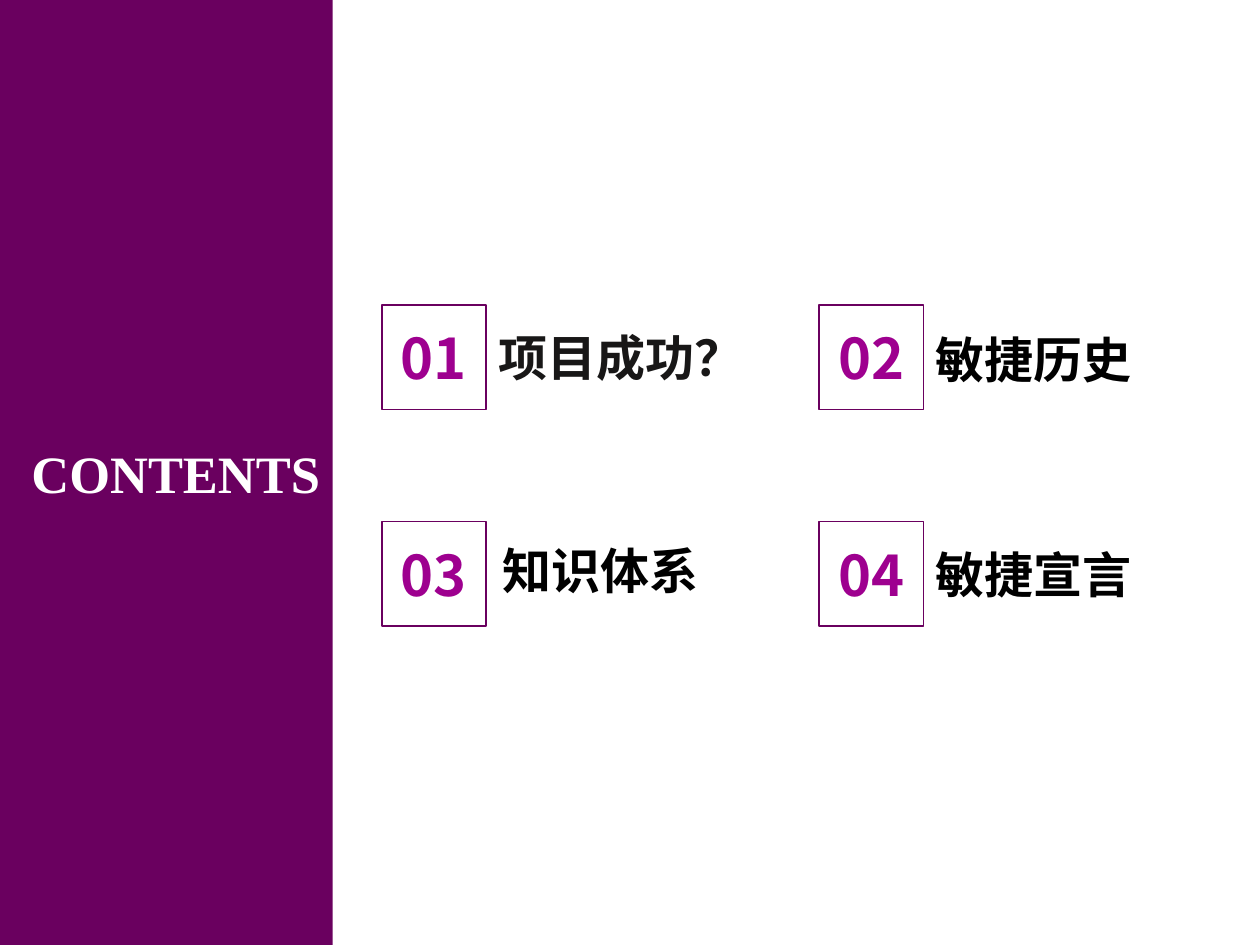
import pptx
import pptx.util
import pptx.dml.color
import pptx.enum.shapes
import pptx.enum.text
import lxml.etree
from pptx.util import Inches

HEADING = "CONTENTS"
# number, topic, topic nudge from its square (right, down), topic colour
TOPICS = [
    ("01", "项目成功？", (0, 0.13), "topic_soft"),
    ("02", "敏捷历史", (0, 0.15), "topic"),
    ("03", "知识体系", (0.03, 0.10), "topic"),
    ("04", "敏捷宣言", (0, 0.13), "topic"),
]

THEME = {
    "colors": {"panel": "6A005F", "heading": "FFFFFF", "number": "9E008F",
               "topic": "000000", "topic_soft": "181717"},
    "sizes": {"heading": 30, "number": 32, "topic": 28},
    "latin": "Times New Roman",
    "cjk": "Noto Sans CJK SC",
}

# Grid of numbered squares
COLUMNS = 2
GRID_LEFT, GRID_TOP = 3.03, 2.42
PITCH_X, PITCH_Y = 3.47, 1.72
SQUARE = 0.83
NUMBER_HEIGHT = 0.64
PANEL_WIDTH = 2.64
ALIGN = pptx.enum.text.PP_ALIGN
ANCHOR = pptx.enum.text.MSO_ANCHOR


def color(name):
    return pptx.dml.color.RGBColor.from_string(THEME["colors"][name])


def add_text(parent, text, left, top, width, height, *, size, ink, font,
             align=ALIGN.LEFT, anchor=ANCHOR.TOP):
    label = parent.add_textbox(Inches(left), Inches(top), Inches(width), Inches(height))
    frame = label.text_frame
    frame.word_wrap = True
    frame.auto_size = pptx.enum.text.MSO_AUTO_SIZE.SHAPE_TO_FIT_TEXT
    frame.vertical_anchor = anchor
    paragraph = frame.paragraphs[0]
    paragraph.alignment = align
    run = paragraph.add_run()
    run.text = text
    run.font.name = font
    run.font.size = pptx.util.Pt(THEME["sizes"][size])
    run.font.bold = True
    run.font.color.rgb = color(ink)
    # Chinese characters take the East Asian typeface
    east_asian = lxml.etree.SubElement(run.font._element, pptx.oxml.ns.qn("a:ea"))
    east_asian.set("typeface", THEME["cjk"])


def add_rectangle(parent, left, top, width, height, fill=None, line=None):
    rectangle = parent.add_shape(pptx.enum.shapes.MSO_SHAPE.RECTANGLE,
                                 Inches(left), Inches(top), Inches(width), Inches(height))
    rectangle.shadow.inherit = False
    if fill:
        rectangle.fill.solid()
        rectangle.fill.fore_color.rgb = color(fill)
    else:
        rectangle.fill.background()
    if line:
        rectangle.line.color.rgb = color(line)
        rectangle.line.width = pptx.util.Pt(1)
    else:
        rectangle.line.fill.background()


def main():
    deck = pptx.Presentation()
    deck.slide_width, deck.slide_height = Inches(10), Inches(7.5)
    slide = deck.slides.add_slide(deck.slide_layouts[6])

    # Side panel with heading
    add_rectangle(slide.shapes, 0, 0, PANEL_WIDTH, 7.5, fill="panel")
    add_text(slide.shapes, HEADING, 0, 3.45, PANEL_WIDTH, 0.61, size="heading",
             ink="heading", font=THEME["latin"], align=ALIGN.RIGHT)

    # Numbered topics, one group each
    for index, (number, topic, (right, down), ink) in enumerate(TOPICS):
        row, column = divmod(index, COLUMNS)
        left = GRID_LEFT + column * PITCH_X
        top = GRID_TOP + row * PITCH_Y
        entry = slide.shapes.add_group_shape().shapes
        add_text(entry, topic, left + SQUARE + right, top + down, 2.25, 0.57,
                 size="topic", ink=ink, font=THEME["latin"])
        add_text(entry, number, left, top + (SQUARE - NUMBER_HEIGHT) / 2, SQUARE,
                 NUMBER_HEIGHT, size="number", ink="number", font=THEME["cjk"],
                 align=ALIGN.CENTER, anchor=ANCHOR.MIDDLE)
        add_rectangle(entry, left, top, SQUARE, SQUARE, line="panel")

    deck.save("out.pptx")


if __name__ == "__main__":
    main()
